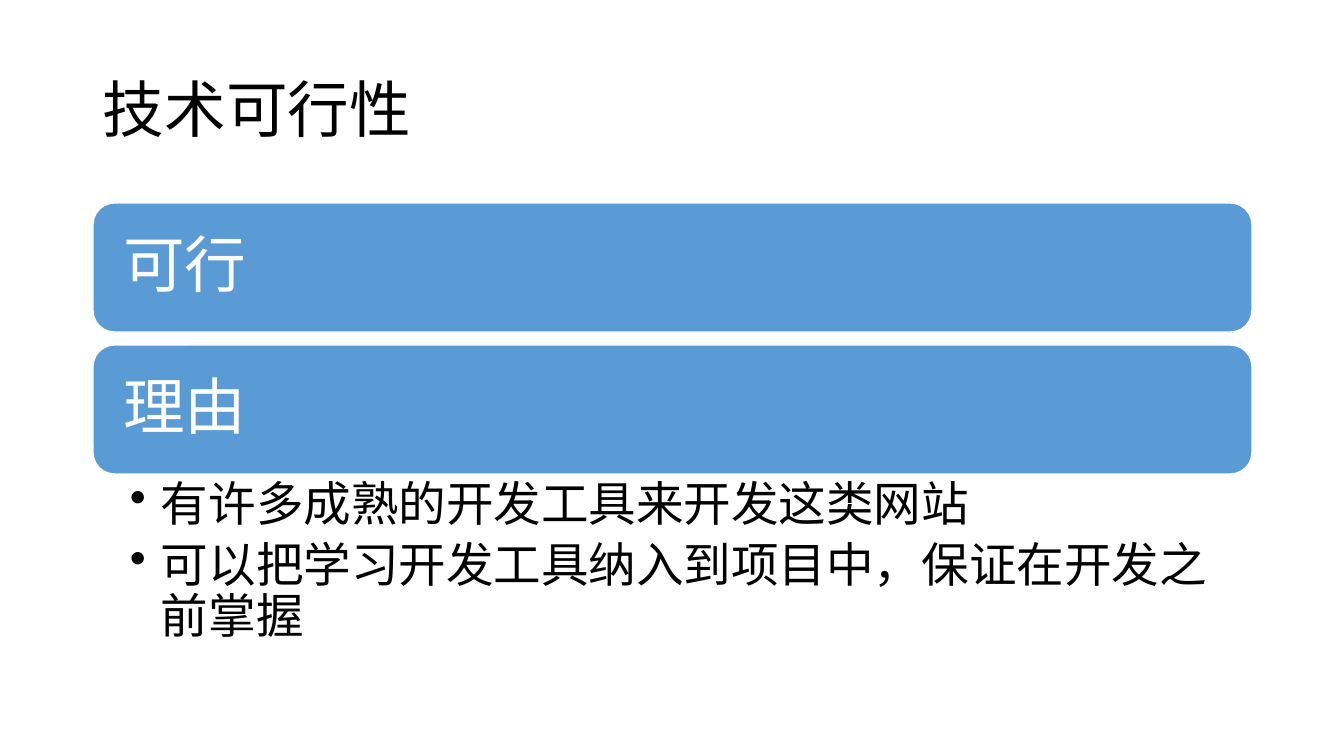
"""Build the technical feasibility slide."""
from dataclasses import dataclass

from lxml import etree
from pptx import Presentation
from pptx import util as u
from pptx.dml.color import RGBColor
from pptx.enum import shapes, text
from pptx.oxml.ns import qn

FONT = "Noto Sans CJK SC"
BLACK, WHITE, BLUE = "000000", "FFFFFF", "5B9BD5"
LEFT, WIDTH = 93, 1159
BANNER_TOP, BANNER_HEIGHT, BANNER_PITCH = 203, 129, 142
INDENT = 31


@dataclass
class TextStyle:
    size: int
    color: str
    insets: tuple[int, int, int, int]
    anchor: text.MSO_ANCHOR = text.MSO_ANCHOR.MIDDLE
    space_after: int = 0
    bullet: str = ""


TITLE = TextStyle(44, BLACK, (10, 5, 10, 5))
BANNER = TextStyle(44, WHITE, (24, 24, 24, 24))
REASON = TextStyle(34, BLACK, (37, 6, 34, 6), text.MSO_ANCHOR.TOP, 7, "•")


def px(n: int) -> u.Emu:
    return u.Emu(round(n * 914400 / 100.8))


def rgb(value: str) -> RGBColor:
    return RGBColor.from_string(value)


def write(sp, lines: list[str], style: TextStyle) -> None:
    tf = sp.text_frame
    tf.text = "\n".join(lines)
    tf.word_wrap = True
    tf.auto_size = text.MSO_AUTO_SIZE.NONE
    tf.vertical_anchor = style.anchor
    tf.margin_left, tf.margin_top, tf.margin_right, tf.margin_bottom = map(px, style.insets)
    for p in tf.paragraphs:
        p.alignment = text.PP_ALIGN.LEFT
        p.line_spacing = 0.9
        p.space_after = u.Pt(style.space_after)
        if style.bullet:
            pPr = p._p.get_or_add_pPr()
            pPr.set("marL", str(px(INDENT)))
            pPr.set("indent", str(-px(INDENT)))
            etree.SubElement(pPr, qn("a:buChar"), char=style.bullet)
        for r in p.runs:
            r.font.name = FONT
            r.font.size = u.Pt(style.size)
            r.font.color.rgb = rgb(style.color)
            etree.SubElement(r.font._element, qn("a:ea"), typeface=FONT)


def add_banner(s, top: int, label: str) -> None:
    sp = s.shapes.add_shape(shapes.MSO_SHAPE.ROUNDED_RECTANGLE,
                            px(LEFT), px(top), px(WIDTH), px(BANNER_HEIGHT))
    sp.shadow.inherit = False
    sp.fill.solid()
    sp.fill.fore_color.rgb = rgb(BLUE)
    sp.line.color.rgb = rgb(WHITE)
    sp.line.width = u.Pt(1)
    write(sp, [label], BANNER)


prs = Presentation()
prs.slide_width, prs.slide_height = px(1344), px(756)
s = prs.slides.add_slide(prs.slide_layouts[5])

title = s.shapes.title
title.left, title.top, title.width, title.height = map(px, (LEFT, 40, WIDTH, 146))
write(title, ["技术可行性"], TITLE)

for i, label in enumerate(["可行", "理由"]):
    add_banner(s, BANNER_TOP + i * BANNER_PITCH, label)

reasons = s.shapes.add_textbox(*map(px, (LEFT, 474, WIDTH, 206)))
write(reasons, ["有许多成熟的开发工具来开发这类网站",
                "可以把学习开发工具纳入到项目中，保证在开发之前掌握"], REASON)

prs.save("out.pptx")
